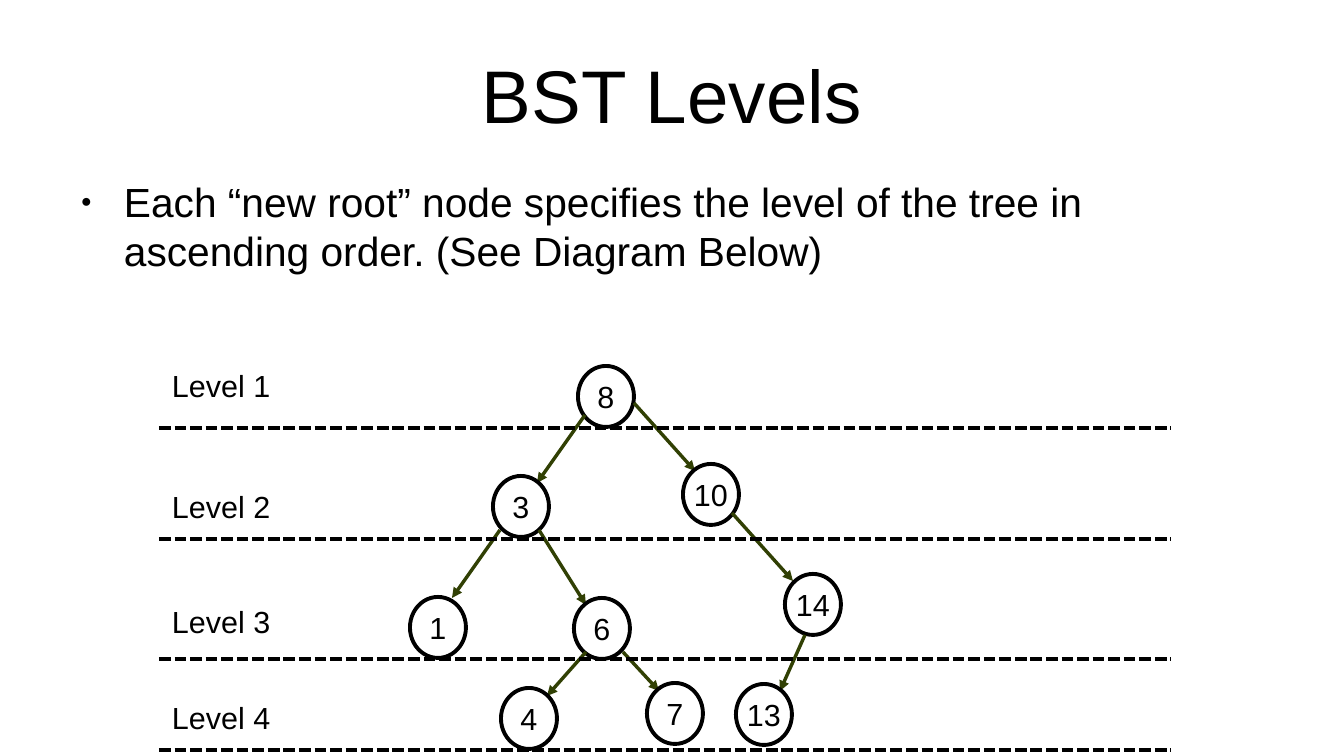
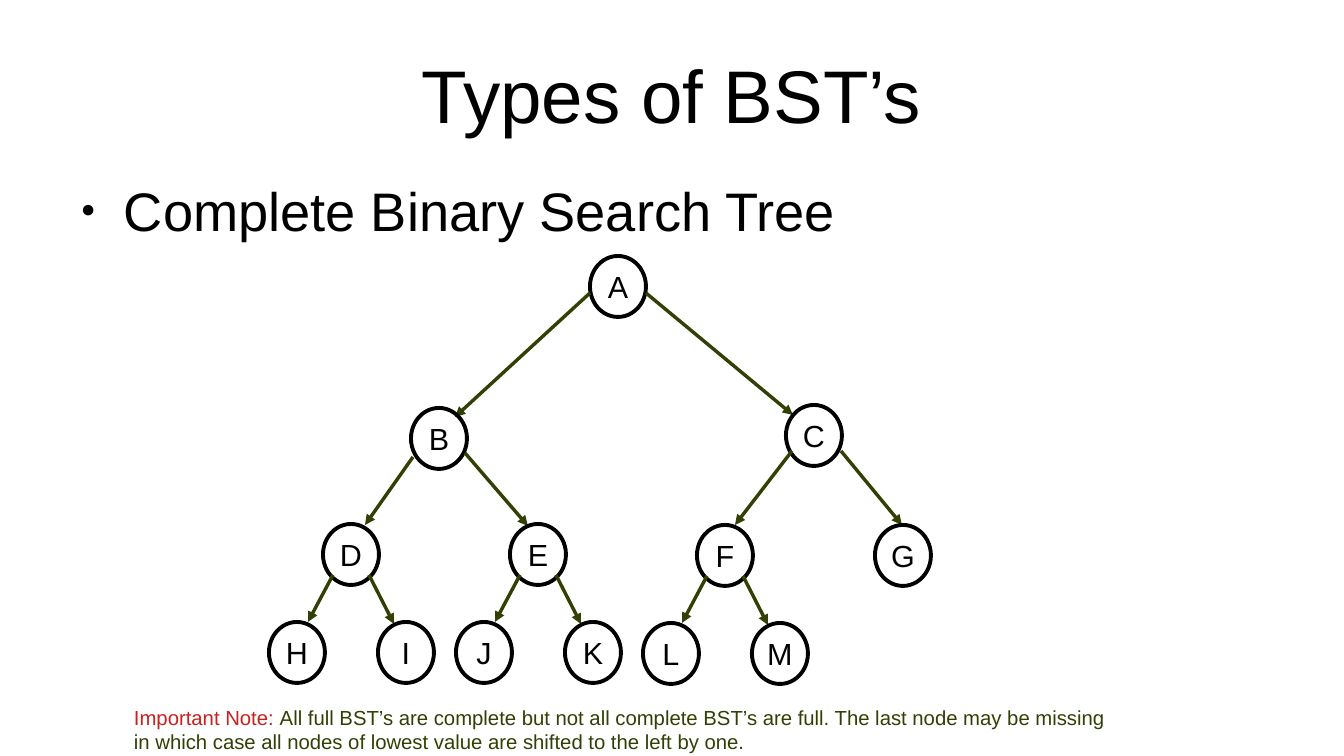
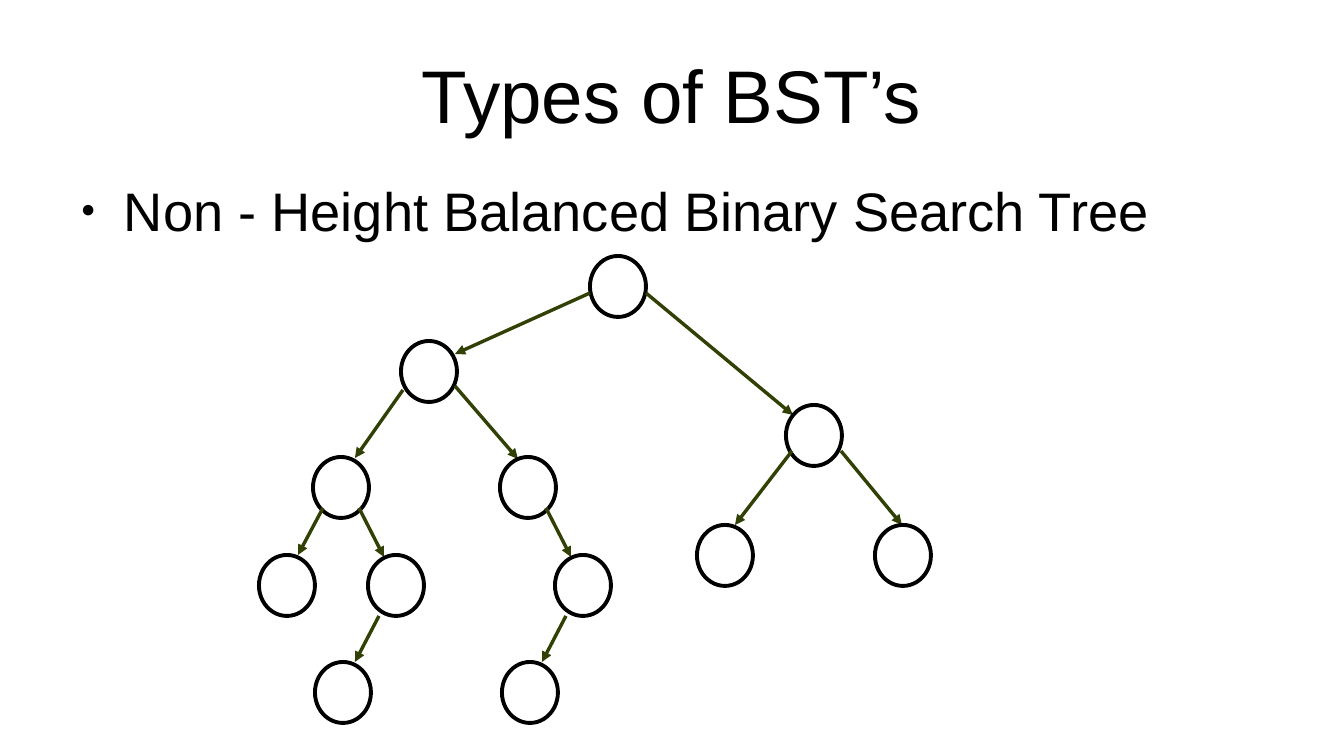
import dataclasses

import lxml.etree
import pptx
import pptx.dml.color
import pptx.enum.dml
import pptx.enum.shapes
import pptx.enum.text
import pptx.oxml.ns
import pptx.util

PX_PER_INCH = 122
SLIDE_SIZE = (1344, 756)
NODE_SIZE = (56, 61)
FONT = "Arial"
BLACK = pptx.dml.color.RGBColor(0x00, 0x00, 0x00)
OLIVE = pptx.dml.color.RGBColor(0x31, 0x40, 0x04)
RED = pptx.dml.color.RGBColor(0xC9, 0x21, 0x1E)
OUTLINE_PT = 2.3
LABEL_PT = 18
BOX_INSETS = (12, 6)

ALIGN = pptx.enum.text.PP_ALIGN
ANCHOR = pptx.enum.text.MSO_ANCHOR


@dataclasses.dataclass(frozen=True)
class Branch:
    """Offsets of a child and its arrow's ends from the parent's top left."""
    child: tuple
    start: tuple
    end: tuple


@dataclasses.dataclass(frozen=True)
class Node:
    label: str = ""
    children: tuple = ()


LEAF_LEFT = Branch((-54, 98), (10, 51), (-15, 98))
LEAF_RIGHT = Branch((55, 98), (46, 51), (71, 100))
LOW_LEFT = Branch((-53, 107), (11, 61), (-13, 107))
INNER_LEFT = Branch((-88, 116), (2, 49), (-46, 117))
INNER_RIGHT = Branch((99, 116), (54, 45), (117, 118))
EVEN_LEFT = Branch((-89, 120), (6, 46), (-51, 120))
EVEN_RIGHT = Branch((89, 120), (55, 46), (116, 120))
ROOT_LEFT = Branch((-179, 152), (0, 37), (-135, 161))
ROOT_LEFT_FLAT = Branch((-189, 85), (0, 37), (-135, 98))
ROOT_RIGHT = Branch((196, 149), (56, 37), (203, 159))


def px(length):
    return pptx.util.Emu(round(length * pptx.util.Inches(1) / PX_PER_INCH))


def add_xml(parent, tag, **attributes):
    return lxml.etree.SubElement(parent, pptx.oxml.ns.qn(tag), attributes)


def write_text(shape, text, size, color=BLACK, align=ALIGN.LEFT,
               anchor=ANCHOR.TOP, insets=(0, 0), wrap=True):
    """Fill a shape with one paragraph; text may be a list of (text, color) runs."""
    frame = shape.text_frame
    frame.word_wrap = wrap
    frame.vertical_anchor = anchor
    frame.margin_left = frame.margin_right = px(insets[0])
    frame.margin_top = frame.margin_bottom = px(insets[1])
    paragraph = frame.paragraphs[0]
    paragraph.alignment = align
    for content, run_color in [(text, color)] if isinstance(text, str) else text:
        run = paragraph.add_run()
        run.text = content
        run.font.name = FONT
        run.font.size = pptx.util.Pt(size)
        run.font.color.rgb = run_color
    return paragraph


def add_text(slide, box, text, size, **text_format):
    return write_text(slide.shapes.add_textbox(*map(px, box)), text, size, **text_format)


def add_line(slide, start, end, color, width, dash=None, arrow=False):
    connector = slide.shapes.add_connector(
        pptx.enum.shapes.MSO_CONNECTOR.STRAIGHT, *map(px, (*start, *end)))
    connector.line.color.rgb = color
    connector.line.width = pptx.util.Pt(width)
    if dash:
        connector.line.dash_style = dash
    properties = connector._element.spPr
    if arrow:
        add_xml(properties.find(pptx.oxml.ns.qn("a:ln")), "a:tailEnd", type="triangle")
    add_xml(properties, "a:effectLst")


def add_node(slide, corner, label):
    circle = slide.shapes.add_shape(
        pptx.enum.shapes.MSO_SHAPE.OVAL, *map(px, (*corner, *NODE_SIZE)))
    circle.shadow.inherit = False
    circle.fill.background()
    circle.line.color.rgb = BLACK
    circle.line.width = pptx.util.Pt(OUTLINE_PT)
    if label:
        write_text(circle, label, LABEL_PT, align=ALIGN.CENTER,
                   anchor=ANCHOR.MIDDLE, wrap=False)


def add_tree(slide, node, corner):
    """Draw a node at its top left corner, then its arrows and subtrees."""
    def moved(offset):
        return corner[0] + offset[0], corner[1] + offset[1]

    add_node(slide, corner, node.label)
    for branch, child in node.children:
        add_line(slide, moved(branch.start), moved(branch.end), OLIVE, 0, arrow=True)
        add_tree(slide, child, moved(branch.child))


def add_bullet(slide, text, size):
    paragraph = add_text(slide, (67, 177, 1210, 439), text, size)
    paragraph.space_before = pptx.util.Pt(14.2)
    properties = paragraph._p.get_or_add_pPr()
    properties.set("marL", str(px(57)))
    properties.set("indent", str(px(-43)))
    add_xml(add_xml(properties, "a:buClr"), "a:srgbClr", val=str(BLACK))
    add_xml(properties, "a:buSzPct", val="45000")
    add_xml(properties, "a:buFont", typeface=FONT)
    add_xml(properties, "a:buChar", char="●")


def add_topic_slide(deck, title, bullet, bullet_size=32):
    slide = deck.slides.add_slide(deck.slide_layouts[6])
    add_text(slide, (67, 30, 1210, 127), title, 44,
             align=ALIGN.CENTER, anchor=ANCHOR.MIDDLE)
    add_bullet(slide, bullet, bullet_size)
    return slide


def leaf_pair(label, left, right):
    return Node(label, ((LEAF_LEFT, Node(left)), (LEAF_RIGHT, Node(right))))


def even_pair(label, left, right):
    return Node(label, ((EVEN_LEFT, left), (EVEN_RIGHT, right)))


def add_levels_slide(deck):
    slide = add_topic_slide(
        deck, "BST Levels",
        "Each “new root” node specifies the level of the tree in "
        "ascending order. (See Diagram Below)", 24)
    six = Node("6", (
        (Branch((-73, 90), (12, 54), (-27, 98)), Node("4")),
        (Branch((73, 85), (49, 54), (85, 93)), Node("7"))))
    three = Node("3", (
        (Branch((-83, 121), (7, 54), (-41, 122)), Node("1")),
        (Branch((81, 122), (46, 54), (93, 129)), six)))
    fourteen = Node("14", ((Branch((-49, 110), (20, 61), (-5, 117)), Node("13")),))
    ten = Node("10", ((Branch((102, 110), (49, 49), (110, 117)), fourteen),))
    eight = Node("8", (
        (Branch((-85, 110), (7, 49), (-41, 117)), three),
        (Branch((105, 98), (56, 37), (117, 105)), ten)))
    add_tree(slide, eight, (578, 366))

    level_rows = [(361, 428), (482, 539), (597, 659), (693, 750)]
    for level, (label_top, divider) in enumerate(level_rows, start=1):
        add_text(slide, (160, label_top, 146, 46), f"Level {level}", LABEL_PT,
                 insets=BOX_INSETS)
        add_line(slide, (159, divider), (1171, divider), BLACK, OUTLINE_PT,
                 dash=pptx.enum.dml.MSO_LINE.SQUARE_DOT)


def add_complete_slide(deck):
    slide = add_topic_slide(deck, "Types of BST’s", "Complete Binary Search Tree")
    left_half = Node("B", (
        (INNER_LEFT, leaf_pair("D", "H", "I")),
        (INNER_RIGHT, leaf_pair("E", "J", "K"))))
    right_half = even_pair("C", leaf_pair("F", "L", "M"), Node("G"))
    root = Node("A", ((ROOT_LEFT, left_half), (ROOT_RIGHT, right_half)))
    add_tree(slide, root, (590, 256))
    add_text(slide, (122, 699, 1013, 57), [
        ("Important Note: ", RED),
        ("All full BST’s are complete but not all complete BST’s are full. "
         "The last node may be missing in which case all nodes of lowest value "
         "are shifted to the left by one.", OLIVE),
    ], 12, insets=BOX_INSETS)


def add_unbalanced_slide(deck):
    slide = add_topic_slide(
        deck, "Types of BST’s", "Non - Height Balanced Binary Search Tree")
    with_low_leaf = Node(children=((LOW_LEFT, Node()),))
    left_half = Node(children=(
        (INNER_LEFT, Node(children=((LEAF_LEFT, Node()), (LEAF_RIGHT, with_low_leaf)))),
        (INNER_RIGHT, Node(children=((LEAF_RIGHT, with_low_leaf),)))))
    right_half = even_pair("", Node(), Node())
    root = Node(children=((ROOT_LEFT_FLAT, left_half), (ROOT_RIGHT, right_half)))
    add_tree(slide, root, (590, 256))


def main():
    deck = pptx.Presentation()
    deck.slide_width, deck.slide_height = map(px, SLIDE_SIZE)
    add_levels_slide(deck)
    add_complete_slide(deck)
    add_unbalanced_slide(deck)
    deck.save("out.pptx")


if __name__ == "__main__":
    main()
